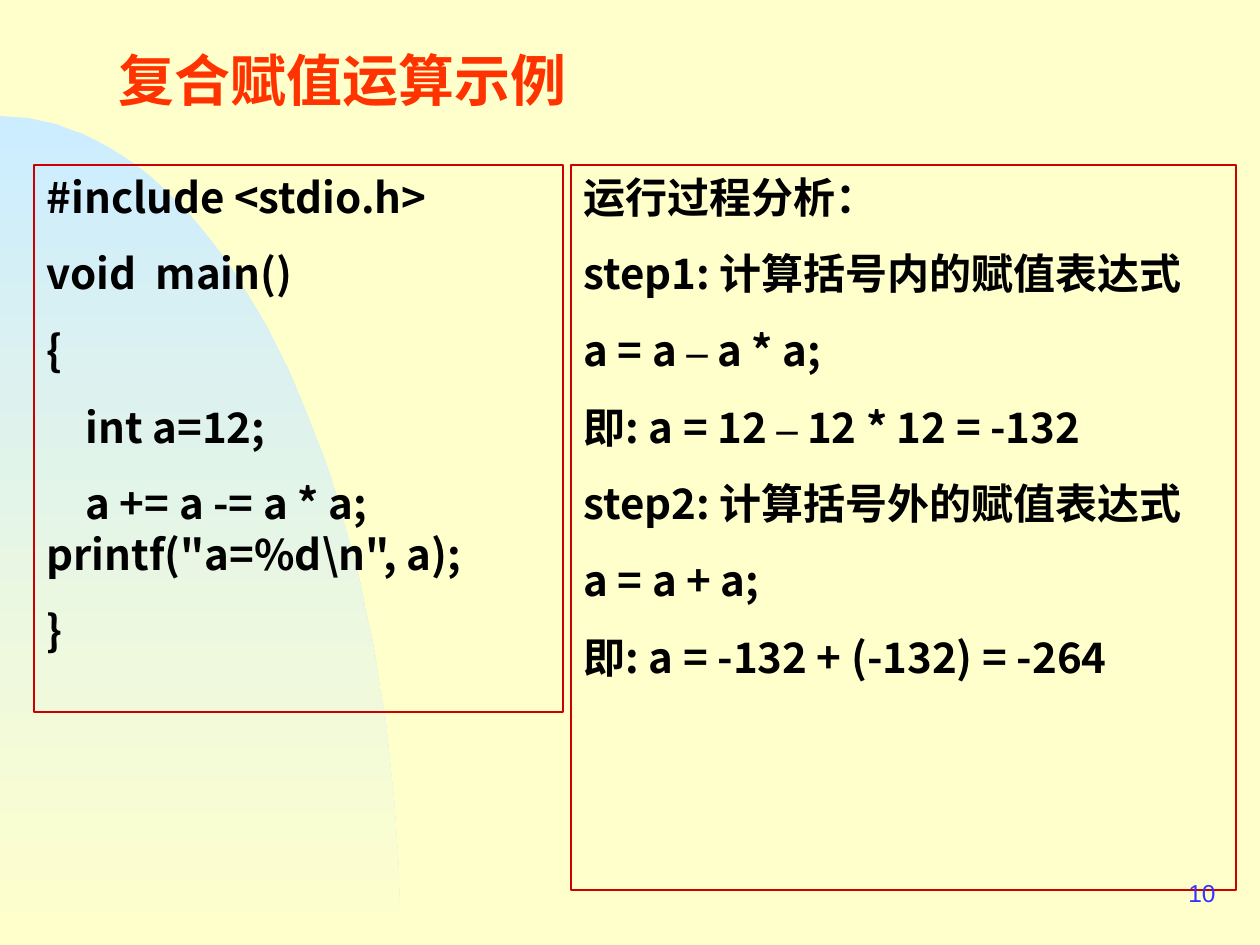
import math

import pptx
import pptx.dml.color
import pptx.enum.text
import pptx.oxml.ns
import pptx.oxml.xmlchemy
import pptx.util

PX = 914400 // 126
CREAM = pptx.dml.color.RGBColor(0xFF, 0xFF, 0xCC)
SKY = pptx.dml.color.RGBColor(0xCC, 0xEC, 0xFF)
ORANGE = pptx.dml.color.RGBColor(0xFF, 0x33, 0x00)
RED = pptx.dml.color.RGBColor(0xCC, 0x00, 0x00)
BLACK = pptx.dml.color.RGBColor(0x01, 0x00, 0x00)
BLUE = pptx.dml.color.RGBColor(0x33, 0x33, 0xFF)
CJK_FONT = "Noto Sans CJK SC"


def place(shape, left, top, width, height):
    shape.left, shape.top = left * PX, top * PX
    shape.width, shape.height = width * PX, height * PX


def style_run(run, size, color, name=CJK_FONT, bold=True):
    """Format a run, using one typeface for Latin and East Asian text."""
    run.font.size = pptx.util.Pt(size)
    run.font.bold = bold
    run.font.color.rgb = color
    run.font.name = name
    east_asian = pptx.oxml.xmlchemy.OxmlElement("a:ea")
    east_asian.set("typeface", name)
    run.font._element.find(pptx.oxml.ns.qn("a:latin")).addnext(east_asian)


presentation = pptx.Presentation()
presentation.slide_width = pptx.util.Inches(10)
presentation.slide_height = pptx.util.Inches(7.5)
slide = presentation.slides.add_slide(presentation.slide_layouts[3])
slide.background.fill.solid()
slide.background.fill.fore_color.rgb = CREAM

# Quarter ellipse behind everything
arc_width, arc_height, slide_bottom = 400, 829, 945
angles = [math.radians(degree) for degree in range(0, 91, 2)]
arc = [(round(arc_width * math.sin(angle)),
        round(slide_bottom - arc_height * math.cos(angle))) for angle in angles]
builder = slide.shapes.build_freeform(*arc[0], scale=PX)
builder.add_line_segments(arc[1:] + [(0, slide_bottom)], close=True)
ellipse = builder.convert_to_shape()
ellipse.shadow.inherit = False
ellipse.line.fill.background()
ellipse.fill.gradient()
ellipse.fill.gradient_angle = 270
for stop, color, position in zip(ellipse.fill.gradient_stops, (SKY, CREAM), (0, 1)):
    stop.color.rgb = color
    stop.position = position
slide.shapes._spTree.insert(2, ellipse._element)

# Title
title = slide.shapes.title
place(title, 106, 39, 474, 81)
title.text_frame.text = "复合赋值运算示例"
title.text_frame.word_wrap = False
title.text_frame.vertical_anchor = pptx.enum.text.MSO_ANCHOR.TOP
title_paragraph = title.text_frame.paragraphs[0]
title_paragraph.alignment = pptx.enum.text.PP_ALIGN.LEFT
style_run(title_paragraph.runs[0], 32, ORANGE)

# Code and analysis boxes: each line is (first-line indent, text)
code_lines = [
    (0, "#include <stdio.h>"),
    (0, "void  main()"),
    (0, "{"),
    (39, "int a=12;"),
    (39, 'a += a -= a * a; printf("a=%d\\n", a);'),
    (0, "}"),
]
analysis_lines = [
    (0, "运行过程分析："),
    (0, "step1: 计算括号内的赋值表达式"),
    (0, "a = a – a * a;"),
    (0, "即: a = 12 – 12 * 12 = -132"),
    (0, "step2: 计算括号外的赋值表达式"),
    (0, "a = a + a;"),
    (0, "即: a = -132 + (-132) = -264"),
]
boxes = [(1, (34, 165, 529, 547), code_lines),
         (2, (571, 165, 665, 725), analysis_lines)]
for index, bounds, lines in boxes:
    box = slide.placeholders[index]
    place(box, *bounds)
    box.line.color.rgb = RED
    box.line.width = pptx.util.Pt(0.75)
    frame = box.text_frame
    frame.auto_size = pptx.enum.text.MSO_AUTO_SIZE.NONE
    frame.text = "\n".join(text for indent, text in lines)
    for paragraph, (indent, text) in zip(frame.paragraphs, lines):
        paragraph.space_before = pptx.util.Pt(15)
        properties = paragraph._element.get_or_add_pPr()
        properties.set("marL", "0")
        properties.set("indent", str(indent * PX))
        properties.append(pptx.oxml.xmlchemy.OxmlElement("a:buNone"))
        before, dash, after = text.partition("–")
        paragraph.text = before
        style_run(paragraph.runs[0], 24, BLACK)
        if dash:
            for part, name in ((dash, "Times New Roman"), (after, CJK_FONT)):
                run = paragraph.add_run()
                run.text = part
                style_run(run, 24, BLACK, name)

# Slide number
number = slide.shapes.add_textbox(0, 0, 0, 0)
place(number, 966, 861, 262, 63)
number.text_frame.text = "10"
number.text_frame.vertical_anchor = pptx.enum.text.MSO_ANCHOR.MIDDLE
number.text_frame.word_wrap = True
number_paragraph = number.text_frame.paragraphs[0]
number_paragraph.alignment = pptx.enum.text.PP_ALIGN.RIGHT
style_run(number_paragraph.runs[0], 14, BLUE, "Arial", False)

presentation.save("out.pptx")
